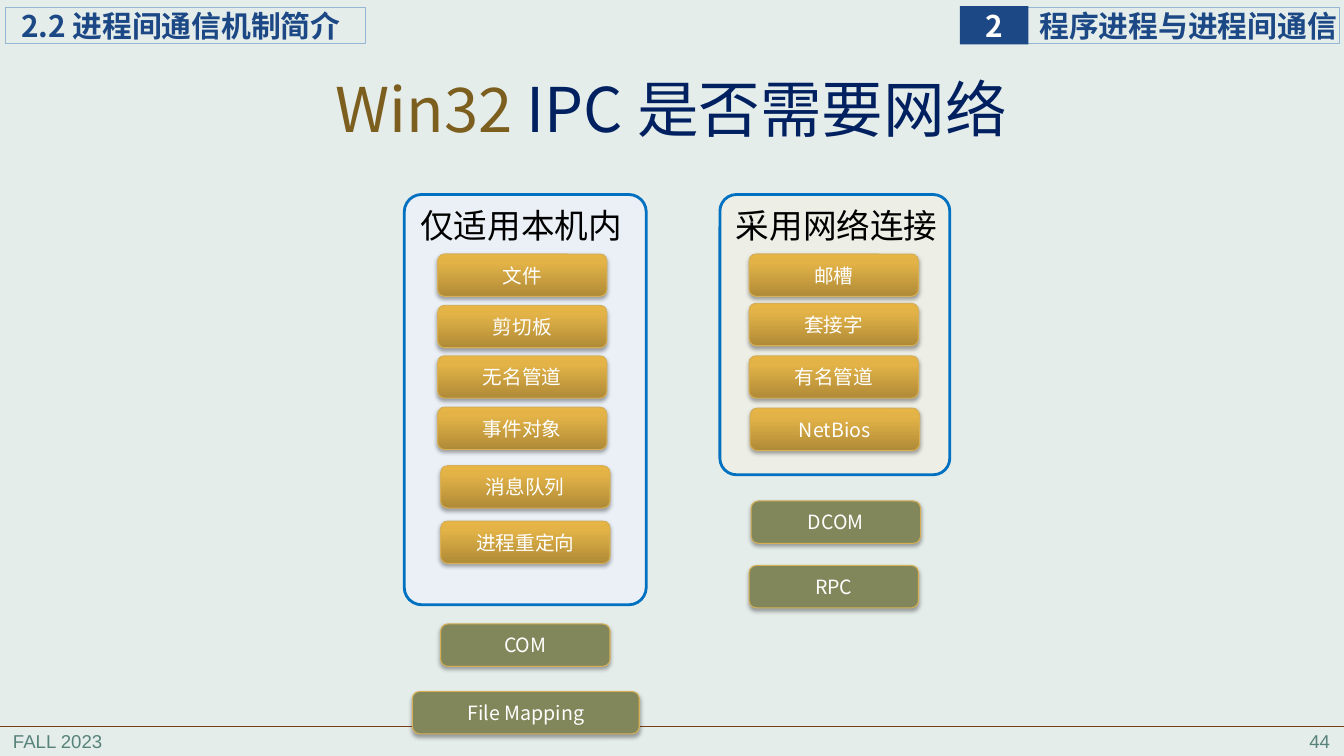
from lxml.etree import SubElement
from pptx import Presentation
from pptx.dml.color import RGBColor
from pptx.enum.shapes import MSO_CONNECTOR, MSO_SHAPE
from pptx.enum.text import MSO_ANCHOR, MSO_AUTO_SIZE, PP_ALIGN
from pptx.oxml.ns import qn
from pptx.util import Inches, Pt

CJK = "Noto Sans CJK SC"
WIDTH, HEIGHT = 13.33, 7.5
NAVY, SKY, BLUE, GOLD = "1C4885", "94B6D2", "0070C0", "D6AF57"
OLIVE, TEAL, WHITE = "81875A", "578279", "FFFFFF"
GOLD_STOPS = [(0, "AF8A37"), (80, "E3B347"), (100, "E7B544")]
BUTTON_W, BUTTON_H = 1.68, 0.42
LOCAL_X, SHIFTED_X, NETWORK_X = 4.34, 4.37, 7.43

# Buttons: left, top, label
GOLD_BUTTONS = [
    (LOCAL_X, 2.52, "文件"),
    (LOCAL_X, 3.03, "剪切板"),
    (LOCAL_X, 3.53, "无名管道"),
    (LOCAL_X, 4.04, "事件对象"),
    (SHIFTED_X, 4.62, "消息队列"),
    (SHIFTED_X, 5.17, "进程重定向"),
    (NETWORK_X, 2.52, "邮槽"),
    (NETWORK_X, 3.01, "套接字"),
    (NETWORK_X, 3.53, "有名管道"),
    (NETWORK_X + 0.01, 4.05, "NetBios"),
]
# Buttons outside the panels: left, top, width, label
OLIVE_BUTTONS = [
    (NETWORK_X + 0.02, 4.97, BUTTON_W, "DCOM"),
    (SHIFTED_X, 6.19, BUTTON_W, "COM"),
    (4.09, 6.86, 2.25, "File Mapping"),
    (NETWORK_X, 5.61, BUTTON_W, "RPC"),
]
# Panels: left, width, height, fill, heading, heading left
PANELS = [
    (4.01, 2.4, 4.07, "EAF0F6", "仅适用本机内", 4.07),
    (7.14, 2.28, 2.78, "EDEEE6", "采用网络连接", 7.2),
]


def rgb(value):
    return RGBColor.from_string(value)


def write(shape, runs, size, font=CJK, bold=False, align=PP_ALIGN.LEFT,
          anchor=MSO_ANCHOR.MIDDLE, insets=(0.1, 0.05, 0.1, 0.05), wrap=True):
    """Fill a shape with one paragraph of (text, colour) runs."""
    frame = shape.text_frame
    frame.auto_size = MSO_AUTO_SIZE.NONE
    frame.word_wrap = wrap
    frame.vertical_anchor = anchor
    (frame.margin_left, frame.margin_top,
     frame.margin_right, frame.margin_bottom) = map(Inches, insets)
    paragraph = frame.paragraphs[0]
    paragraph.alignment = align
    for text, color in runs:
        run = paragraph.add_run()
        run.text = text
        run.font.size = Pt(size)
        run.font.bold = bold
        run.font.color.rgb = rgb(color)
        run.font.name = font
        SubElement(run.font._element, qn("a:ea"), typeface=font)
    return paragraph


def add_box(slide, kind, at, fill=None, line=None, weight=0.75):
    box = slide.shapes.add_shape(kind, *map(Inches, at))
    box.shadow.inherit = False
    if fill:
        box.fill.solid()
        box.fill.fore_color.rgb = rgb(fill)
    else:
        box.fill.background()
    if line:
        box.line.color.rgb = rgb(line)
        box.line.width = Pt(weight)
    else:
        box.line.fill.background()
    return box


def add_label(slide, at, text, size, color, **style):
    label = slide.shapes.add_textbox(*map(Inches, at))
    write(label, [(text, color)], size, anchor=MSO_ANCHOR.TOP, **style)


def add_color(parent, tag, color, **attributes):
    holder = SubElement(parent, qn(tag), **attributes)
    return SubElement(holder, qn("a:srgbClr"), val=color)


def paint_gold(button):
    button.fill.gradient()
    button.fill.gradient_angle = 90
    stops = button._element.spPr.find(qn("a:gradFill")).find(qn("a:gsLst"))
    for stop in list(stops):
        stops.remove(stop)
    for percent, color in GOLD_STOPS:
        add_color(stops, "a:gs", color, pos=str(percent * 1000))


def add_button(slide, left, top, width, label, fill=None):
    button = add_box(slide, MSO_SHAPE.ROUNDED_RECTANGLE,
                     (left, top, width, BUTTON_H), fill, GOLD)
    if not fill:
        paint_gold(button)
    effects = button._element.spPr.find(qn("a:effectLst"))
    shade = add_color(effects, "a:outerShdw", "000000",
                      blurRad=str(Pt(3.1)), dist=str(Pt(1.8)),
                      dir="5400000", rotWithShape="0")
    SubElement(shade, qn("a:alpha"), val="35000")
    write(button, [(label, WHITE)], 14, align=PP_ALIGN.CENTER)


def add_panel(slide, left, width, height, fill, heading, heading_left):
    panel = add_box(slide, MSO_SHAPE.ROUNDED_RECTANGLE,
                    (left, 1.93, width, height), fill, BLUE, 2)
    panel.adjustments[0] = 0.072
    add_label(slide, (heading_left, 1.98, 2.22, 0.5), heading, 24, "000000",
              wrap=False)


def add_header(slide):
    for left, width, inset, text in [
            (10.19, 3.1, 0.12, "程序进程与进程间通信"),
            (0.05, 3.58, 0.16, "2.2 进程间通信机制简介")]:
        bar = add_box(slide, MSO_SHAPE.RECTANGLE, (left, 0.07, width, 0.36),
                      line=SKY)
        write(bar, [(text, NAVY)], 21.3, bold=True, insets=(inset, 0, 0, 0))
    chapter = add_box(slide, MSO_SHAPE.RECTANGLE, (9.52, 0.06, 0.68, 0.38),
                      NAVY)
    write(chapter, [("2", WHITE)], 21.3, bold=True, align=PP_ALIGN.CENTER,
          insets=(0, 0, 0, 0), wrap=False)


def add_footer(slide):
    for left, text, align in [(0.03, "FALL 2023", PP_ALIGN.LEFT),
                              (10.51, "44", PP_ALIGN.RIGHT)]:
        add_label(slide, (left, 7.19, 2.78, 0.31), text, 13.3, TEAL,
                  font="Arial", align=align)
    rule = slide.shapes.add_connector(
        MSO_CONNECTOR.STRAIGHT, *map(Inches, (-0.03, 7.21, WIDTH, 7.21)))
    rule.line.color.rgb = rgb("7B3D17")
    rule.line.width = Pt(0.5)
    SubElement(rule._element.spPr, qn("a:effectLst"))


def set_title(slide):
    title = slide.shapes.title
    title.left, title.top, title.width, title.height = map(
        Inches, (3.07, 0.68, 7.18, 0.87))
    paragraph = write(title, [("Win32", "7C5F1E"),
                              (" IPC 是否需要网络", "002060")], 44,
                      align=PP_ALIGN.CENTER, insets=(0.08, 0.04, 0.08, 0.04))
    paragraph.line_spacing = 0.9


def main():
    deck = Presentation()
    deck.slide_width, deck.slide_height = Inches(WIDTH), Inches(HEIGHT)
    slide = deck.slides.add_slide(deck.slide_layouts[5])
    slide.background.fill.solid()
    slide.background.fill.fore_color.rgb = rgb("E5EDEB")

    # Frame of the page
    add_footer(slide)
    add_header(slide)
    set_title(slide)

    # Panels and their mechanisms
    for panel in PANELS:
        add_panel(slide, *panel)
    for left, top, label in GOLD_BUTTONS:
        add_button(slide, left, top, BUTTON_W, label)
    for left, top, width, label in OLIVE_BUTTONS:
        add_button(slide, left, top, width, label, OLIVE)

    deck.save("out.pptx")


if __name__ == "__main__":
    main()
